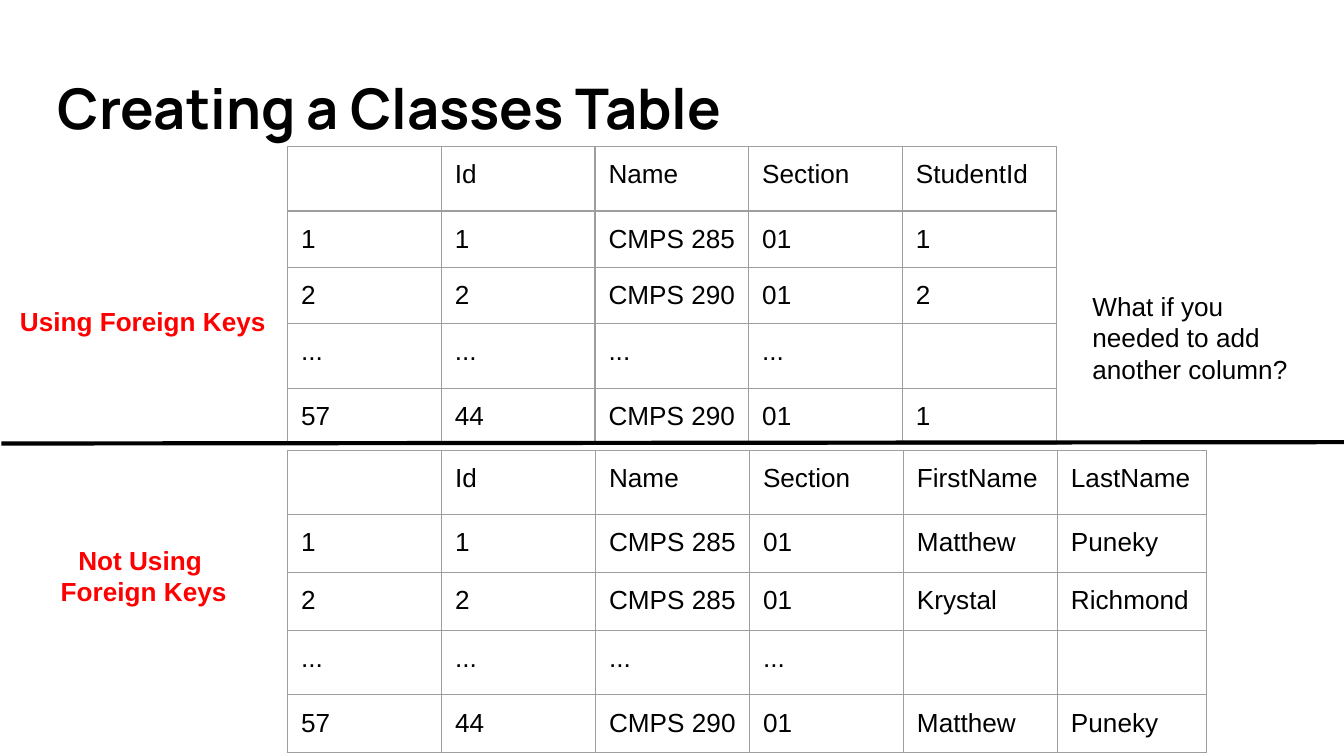
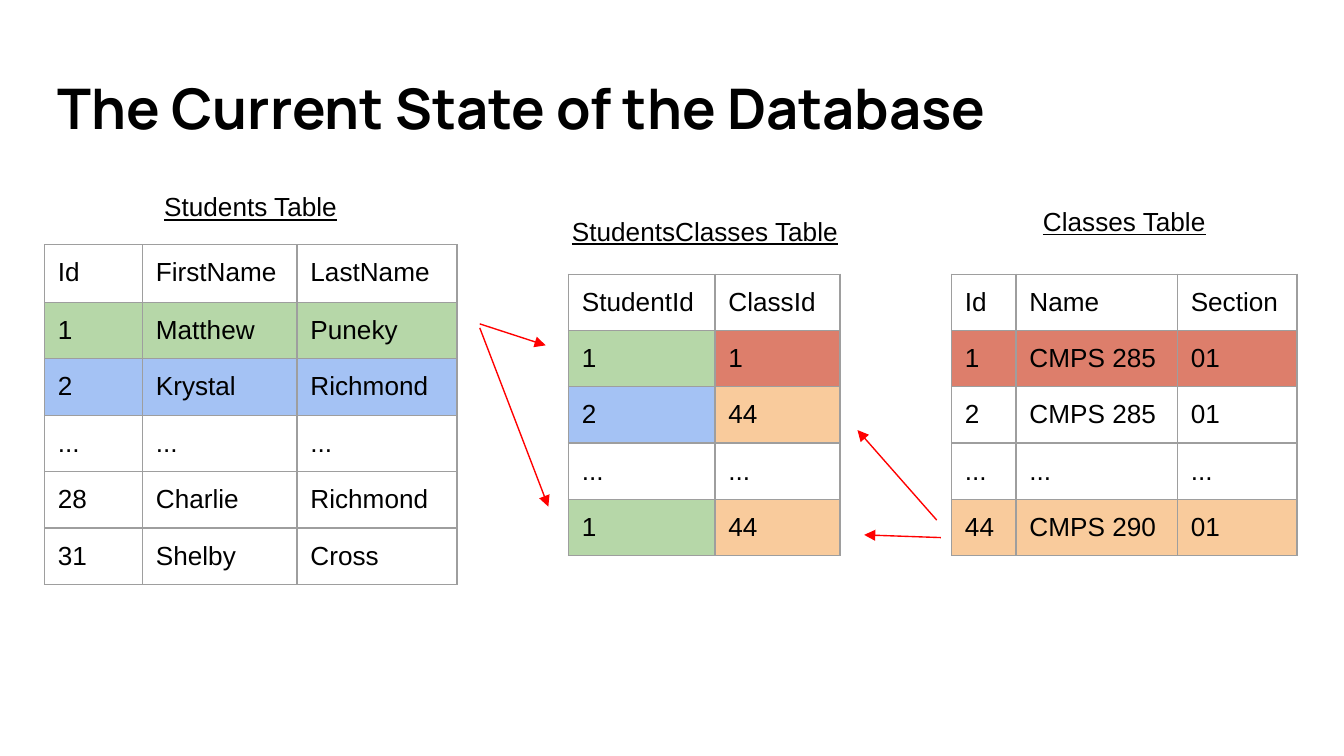
from lxml.etree import SubElement
from pptx import Presentation
from pptx.dml.color import RGBColor
from pptx.enum.shapes import MSO_CONNECTOR as CONNECTOR
from pptx.enum.text import MSO_ANCHOR as ANCHOR, MSO_AUTO_SIZE as AUTO_SIZE, PP_ALIGN as ALIGN
from pptx.oxml import parse_xml
from pptx.oxml.ns import nsdecls, qn
from pptx.util import Inches, Pt

BLACK = RGBColor(0x00, 0x00, 0x00)
RED = RGBColor(0xFF, 0x00, 0x00)
GRID = RGBColor(0x9E, 0x9E, 0x9E)
GREEN = RGBColor(0xB6, 0xD7, 0xA8)
BLUE = RGBColor(0xA4, 0xC2, 0xF4)
BRICK = RGBColor(0xDD, 0x7E, 0x6B)
ORANGE = RGBColor(0xF9, 0xCB, 0x9C)

TITLE_FONT = "Manrope"
BODY_FONT = "Arial"
INSET = Inches(0.1)
TITLE_BOX = (0.33, 0.45, 9.32, 0.7)
STUDENT_FILLS = {"1": GREEN, "2": BLUE}
CLASS_FILLS = {"1": BRICK, "44": ORANGE}


def add_run(paragraph, text, size=14, font=BODY_FONT, color=BLACK, bold=False, underline=False):
    run = paragraph.add_run()
    run.text = text
    run.font.name = font
    run.font.size = Pt(size)
    run.font.color.rgb = color
    run.font.bold = bold
    run.font.underline = underline


def prepare_frame(frame):
    frame.word_wrap = True
    frame.auto_size = AUTO_SIZE.NONE
    frame.vertical_anchor = ANCHOR.TOP
    frame.margin_left = frame.margin_right = INSET
    frame.margin_top = frame.margin_bottom = INSET


def add_title_slide(presentation, title):
    slide = presentation.slides.add_slide(presentation.slide_layouts[5])
    shape = slide.shapes.title
    shape.left, shape.top, shape.width, shape.height = map(Inches, TITLE_BOX)
    prepare_frame(shape.text_frame)
    paragraph = shape.text_frame.paragraphs[0]
    paragraph.alignment = ALIGN.LEFT
    add_run(paragraph, title, size=30, font=TITLE_FONT, bold=True)
    return slide


def add_text(slide, box, lines, alignment=ALIGN.LEFT, **style):
    frame = slide.shapes.add_textbox(*map(Inches, box)).text_frame
    prepare_frame(frame)
    for index, line in enumerate(lines):
        paragraph = frame.add_paragraph() if index else frame.paragraphs[0]
        paragraph.alignment = alignment
        add_run(paragraph, line, **style)


def add_line(slide, start, end, color, width, arrow=False):
    connector = slide.shapes.add_connector(CONNECTOR.STRAIGHT, *map(Inches, start + end))
    connector.line.color.rgb = color
    connector.line.width = Pt(width)
    if arrow:
        SubElement(connector.line._get_or_add_ln(), qn("a:tailEnd"), type="triangle")
    SubElement(connector._element.spPr, qn("a:effectLst"))


def add_cell_borders(cell):
    properties = cell._tc.get_or_add_tcPr()
    for index, side in enumerate(("lnL", "lnR", "lnT", "lnB")):
        border = parse_xml(
            f'<a:{side} {nsdecls("a")} w="{Pt(0.75)}"><a:solidFill>'
            f'<a:srgbClr val="{GRID}"/></a:solidFill></a:{side}>'
        )
        properties.insert(index, border)


def fill_cell(cell, text, color):
    cell.margin_left = cell.margin_right = INSET
    cell.margin_top = cell.margin_bottom = INSET
    paragraph = cell.text_frame.paragraphs[0]
    if text:
        add_run(paragraph, text)
    else:
        end_properties = SubElement(paragraph._p, qn("a:endParaRPr"), sz="1800")
        SubElement(end_properties, qn("a:latin"), typeface=BODY_FONT)
    if color:
        cell.fill.solid()
        cell.fill.fore_color.rgb = color
    else:
        cell.fill.background()
    add_cell_borders(cell)


def add_grid(slide, left, top, widths, row_heights, rows, key_fills=None):
    box = (left, top, sum(widths), sum(row_heights))
    table = slide.shapes.add_table(len(rows), len(widths), *map(Inches, box)).table
    table.first_row = table.horz_banding = False
    for column, width in zip(table.columns, widths):
        column.width = Inches(width)
    for row, height in zip(table.rows, row_heights):
        row.height = Inches(height)
    for row_index, values in enumerate(rows):
        for column_index, value in enumerate(values):
            color = None
            if key_fills:
                key_column, fills = key_fills[column_index]
                color = fills.get(values[key_column])
            fill_cell(table.cell(row_index, column_index), value, color)


def add_comparison(slide, left, top, label, label_offset, alignment, widths, row_height, rows):
    add_grid(slide, left + 2.09, top, widths, [row_height] * len(rows), rows)
    label_box = (left, top + label_offset, 2.04, 0.47)
    add_text(slide, label_box, label, alignment, color=RED, bold=True)


def add_database_table(slide, left, top, caption, caption_box, widths, row_heights, rows, key_fills):
    add_grid(slide, left, top, widths, row_heights, rows, key_fills)
    offset_x, offset_y, width = caption_box
    box = (left + offset_x, top + offset_y, width, 0.32)
    add_text(slide, box, [caption], ALIGN.CENTER, underline=True)


def build_classes_slide(presentation):
    slide = add_title_slide(presentation, "Creating a Classes Table")
    add_comparison(
        slide, 0.05, 1.09, ["Using Foreign Keys"], 1.08, ALIGN.LEFT, [5.72 / 5] * 5, 0.33,
        [
            ["", "Id", "Name", "Section", "StudentId"],
            ["1", "1", "CMPS 285", "01", "1"],
            ["2", "2", "CMPS 290", "01", "2"],
            ["...", "...", "...", "...", ""],
            ["57", "44", "CMPS 290", "01", "1"],
        ],
    )
    add_comparison(
        slide, 0.05, 3.35, ["Not Using ", "Foreign Keys"], 0.6, ALIGN.CENTER,
        [5.73 / 5] * 5 + [1.11], 0.43,
        [
            ["", "Id", "Name", "Section", "FirstName", "LastName"],
            ["1", "1", "CMPS 285", "01", "Matthew", "Puneky"],
            ["2", "2", "CMPS 285", "01", "Krystal", "Richmond"],
            ["...", "...", "...", "...", "", ""],
            ["57", "44", "CMPS 290", "01", "Matthew", "Puneky"],
        ],
    )
    add_line(slide, (0.01, 3.3), (10.02, 3.29), BLACK, 2.25)
    add_text(slide, (8.03, 2.06, 1.77, 0.6), ["What if you needed to add another column?"])


def build_database_slide(presentation):
    slide = add_title_slide(presentation, "The Current State of the Database")
    add_database_table(
        slide, 4.23, 2.04, "StudentsClasses Table", (-0.19, -0.54, 2.41),
        [1.09, 0.93], [0.33] * 5,
        [
            ["StudentId", "ClassId"],
            ["1", "1"],
            ["2", "44"],
            ["...", "..."],
            ["1", "44"],
        ],
        [(0, STUDENT_FILLS), (1, CLASS_FILLS)],
    )
    add_database_table(
        slide, 7.08, 2.04, "Classes Table", (0.08, -0.61, 2.41),
        [0.48, 1.2, 0.89], [0.33] * 5,
        [
            ["Id", "Name", "Section"],
            ["1", "CMPS 285", "01"],
            ["2", "CMPS 285", "01"],
            ["...", "...", "..."],
            ["44", "CMPS 290", "01"],
        ],
        [(0, CLASS_FILLS)] * 3,
    )
    add_database_table(
        slide, 0.33, 1.82, "Students Table", (0.72, -0.5, 1.63),
        [0.73, 1.15, 1.19], [0.43] + [0.42] * 5,
        [
            ["Id", "FirstName", "LastName"],
            ["1", "Matthew", "Puneky"],
            ["2", "Krystal", "Richmond"],
            ["...", "...", "..."],
            ["28", "Charlie", "Richmond"],
            ["31", "Shelby", "Cross"],
        ],
        [(0, STUDENT_FILLS)] * 3,
    )
    key_arrows = [
        ((3.57, 2.41), (4.06, 2.57)),
        ((3.57, 2.44), (4.08, 3.77)),
        ((6.97, 3.87), (6.38, 3.2)),
        ((7, 4), (6.43, 3.98)),
    ]
    for start, end in key_arrows:
        add_line(slide, start, end, RED, 0.75, arrow=True)


def main():
    presentation = Presentation()
    presentation.slide_width = Inches(10)
    presentation.slide_height = presentation.slide_width * 9 // 16
    build_classes_slide(presentation)
    build_database_slide(presentation)
    presentation.save("out.pptx")


if __name__ == "__main__":
    main()
